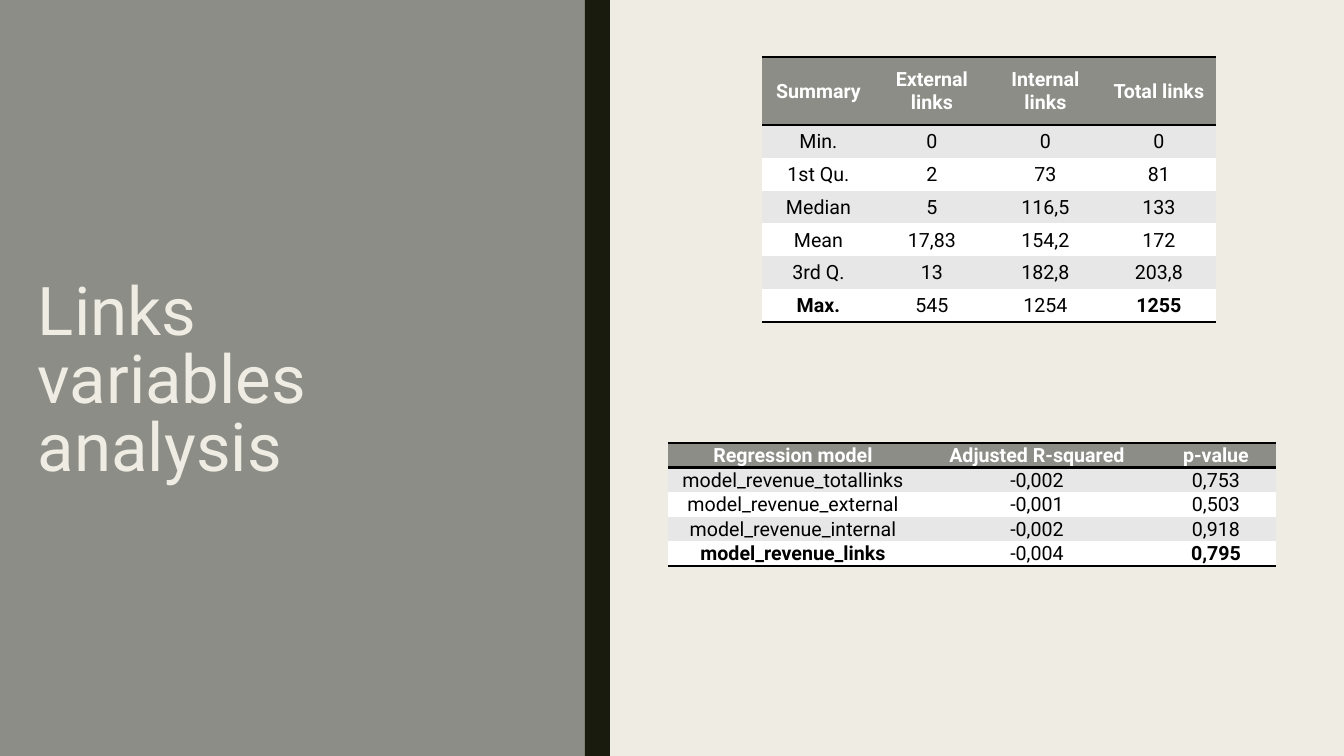
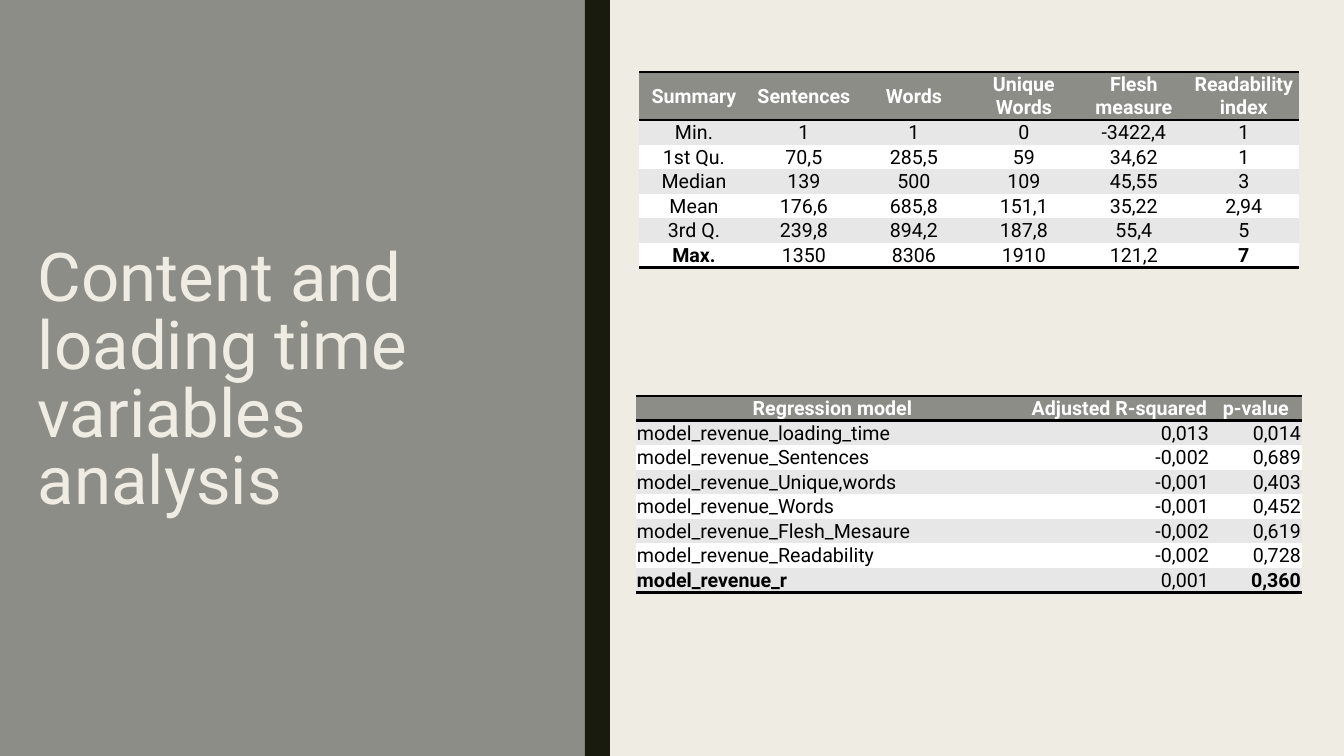
from pptx import Presentation
from pptx.dml.color import RGBColor
from pptx.enum.shapes import MSO_SHAPE as Shape
from pptx.enum.text import MSO_ANCHOR as Anchor, PP_ALIGN as Align
from pptx.oxml.ns import qn
from pptx.util import Pt
from lxml.etree import SubElement

EMU_PER_PX = 914400 / 100.8
SLIDE_WIDTH, SLIDE_HEIGHT = 1344, 756
FONT = "Roboto"
CREAM, GREY, DARK = "EFEDE3", "8C8D86", "191B0E"
WHITE, BLACK, STRIPE = "FFFFFF", "000000", "E7E7E7"
BORDER_WIDTH = Pt(2)

LINKS_SUMMARY = [
    ("Summary", "External links", "Internal links", "Total links"),
    ("Min.", "0", "0", "0"),
    ("1st Qu.", "2", "73", "81"),
    ("Median", "5", "116,5", "133"),
    ("Mean", "17,83", "154,2", "172"),
    ("3rd Q.", "13", "182,8", "203,8"),
    ("Max.", "545", "1254", "1255"),
]
MODEL_HEADER = ("Regression model", "Adjusted R-squared", "p-value")
LINKS_MODELS = [
    MODEL_HEADER,
    ("model_revenue_totallinks", "-0,002", "0,753"),
    ("model_revenue_external", "-0,001", "0,503"),
    ("model_revenue_internal", "-0,002", "0,918"),
    ("model_revenue_links", "-0,004", "0,795"),
]
CONTENT_SUMMARY = [
    ("Summary", "Sentences", "Words", "Unique Words", "Flesh measure", "Readability index"),
    ("Min.", "1", "1", "0", "-3422,4", "1"),
    ("1st Qu.", "70,5", "285,5", "59", "34,62", "1"),
    ("Median", "139", "500", "109", "45,55", "3"),
    ("Mean", "176,6", "685,8", "151,1", "35,22", "2,94"),
    ("3rd Q.", "239,8", "894,2", "187,8", "55,4", "5"),
    ("Max.", "1350", "8306", "1910", "121,2", "7"),
]
CONTENT_MODELS = [
    MODEL_HEADER,
    ("model_revenue_loading_time", "0,013", "0,014"),
    ("model_revenue_Sentences", "-0,002", "0,689"),
    ("model_revenue_Unique,words", "-0,001", "0,403"),
    ("model_revenue_Words", "-0,001", "0,452"),
    ("model_revenue_Flesh_Mesaure", "-0,002", "0,619"),
    ("model_revenue_Readability", "-0,002", "0,728"),
    ("model_revenue_r", "0,001", "0,360"),
]


def px(length):
    return round(length * EMU_PER_PX)


def color(value):
    return RGBColor.from_string(value)


def paint(fill, value):
    fill.solid()
    fill.fore_color.rgb = color(value)


def style_font(font, size, value, bold=False):
    font.name = FONT
    font.size = Pt(size)
    font.bold = bold
    font.color.rgb = color(value)


def add_band(slide, left, width, value):
    shape = slide.shapes.add_shape(Shape.RECTANGLE, px(left), 0, px(width), px(SLIDE_HEIGHT))
    shape.shadow.inherit = False
    shape.line.fill.background()
    paint(shape.fill, value)


def add_title(slide, text):
    text_frame = slide.shapes.add_textbox(px(28), px(10), px(519), px(746)).text_frame
    text_frame.word_wrap = True
    text_frame.vertical_anchor = Anchor.MIDDLE
    paragraph = text_frame.paragraphs[0]
    paragraph.text = text
    paragraph.line_spacing = 0.84
    style_font(paragraph.font, 48, CREAM)


def add_titled_slide(presentation, title):
    slide = presentation.slides.add_slide(presentation.slide_layouts[6])
    add_band(slide, 0, 585, GREY)
    add_band(slide, 585, 25, DARK)
    add_title(slide, title)
    return slide


def set_borders(cell, top, bottom):
    properties = cell._tc.get_or_add_tcPr()
    sides = {"a:lnL": False, "a:lnR": False, "a:lnT": top, "a:lnB": bottom}
    for tag, visible in sides.items():
        line = SubElement(properties, qn(tag), w=str(BORDER_WIDTH))
        if visible:
            fill = SubElement(line, qn("a:solidFill"))
            SubElement(fill, qn("a:srgbClr"), val=BLACK)
        else:
            SubElement(line, qn("a:noFill"))


def fill_cell(cell, text, fill, font_color, bold, alignment):
    cell.margin_left = cell.margin_top = cell.margin_right = px(1)
    cell.margin_bottom = 0
    cell.vertical_anchor = Anchor.MIDDLE
    paint(cell.fill, fill)
    paragraph = cell.text_frame.paragraphs[0]
    paragraph.text = text
    paragraph.alignment = alignment
    style_font(paragraph.font, 14, font_color, bold)


def add_data_table(slide, rows, left, top, height, header_height, widths, alignments=None):
    last_row, last_column = len(rows) - 1, len(widths) - 1
    alignments = alignments or [Align.CENTER] * len(widths)
    table = slide.shapes.add_table(
        len(rows), len(widths), px(left), px(top), px(sum(widths)), px(height)
    ).table
    table.first_row = table.horz_banding = False
    for column, width in zip(table.columns, widths):
        column.width = px(width)
    for index, values in enumerate(rows):
        is_header = index == 0
        row_height = header_height if is_header else (height - header_height) / last_row
        table.rows[index].height = px(row_height)
        fill = GREY if is_header else STRIPE if index % 2 else WHITE
        for position, text in enumerate(values):
            cell = table.cell(index, position)
            bold = is_header or (index == last_row and position in (0, last_column))
            set_borders(cell, top=index <= 1, bottom=index in (0, last_row))
            fill_cell(cell, text, fill, WHITE if is_header else BLACK, bold,
                      Align.CENTER if is_header else alignments[position])


def main():
    presentation = Presentation()
    presentation.slide_width = px(SLIDE_WIDTH)
    presentation.slide_height = px(SLIDE_HEIGHT)
    paint(presentation.slide_master.background.fill, CREAM)

    slide = add_titled_slide(presentation, "Links\nvariables\nanalysis")
    add_data_table(slide, LINKS_SUMMARY, 762, 57, 265, 68, (113, 114, 113, 114))
    add_data_table(slide, LINKS_MODELS, 668, 443, 122, 24, (250, 238, 120))

    slide = add_titled_slide(presentation, "Content and loading time\nvariables\nanalysis")
    add_data_table(slide, CONTENT_SUMMARY, 639, 72, 194, 48, [110] * 6)
    add_data_table(slide, CONTENT_MODELS, 636, 396, 194, 24, (393, 181, 92),
                   (Align.LEFT, Align.RIGHT, Align.RIGHT))

    presentation.save("out.pptx")


if __name__ == "__main__":
    main()
